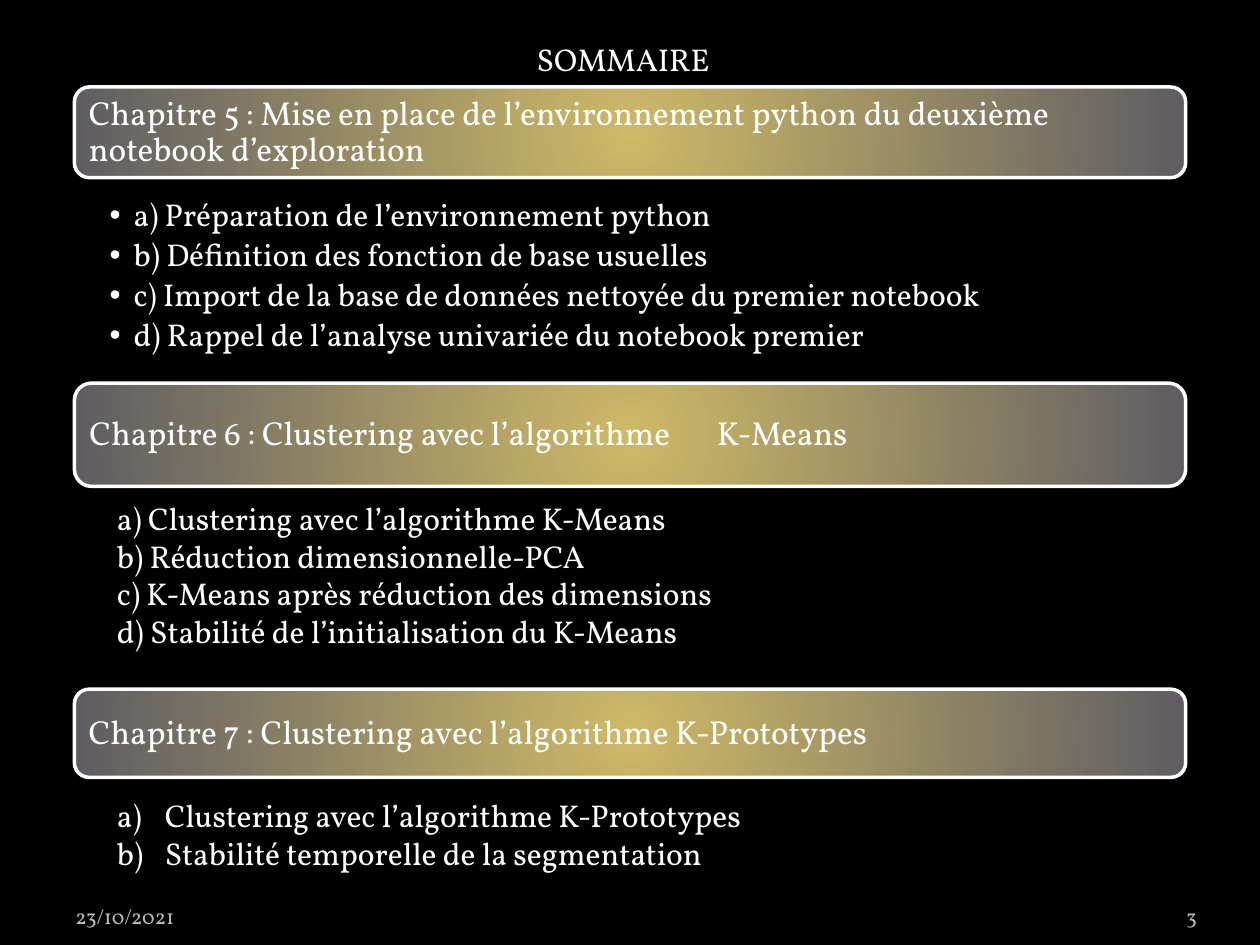
"""Builds the summary slide listing chapters 5 to 7 with their sections."""
from lxml.etree import SubElement
from pptx import Presentation
from pptx.dml.color import RGBColor
from pptx.enum.shapes import MSO_SHAPE
from pptx.enum.text import MSO_ANCHOR as Anchor, MSO_AUTO_SIZE as AutoSize, PP_ALIGN as Align
from pptx.oxml import parse_xml
from pptx.oxml.ns import nsdecls, qn
from pptx.util import Inches, Pt

BLACK = RGBColor(0x00, 0x00, 0x00)
WHITE = RGBColor(0xFF, 0xFF, 0xFF)
SILVER = RGBColor(0xBD, 0xBD, 0xBD)
GOLD = RGBColor(0xCE, 0xB9, 0x66)
SLATE = RGBColor(0x5F, 0x5D, 0x63)
FONT = "Vollkorn"

TITLE = ("SOMMAIRE", (4.16, 0.27, 1.61, 0.4))
BANNER_LEFT, BANNER_WIDTH = 0.59, 8.82
BANNERS = [
    (0.69, 0.72, "Chapitre 5 : Mise en place de l’environnement python du deuxième notebook d’exploration"),
    (3.04, 0.82, "Chapitre 6 : Clustering avec l’algorithme\tK-Means"),
    (5.47, 0.7, "Chapitre 7 : Clustering avec l’algorithme K-Prototypes"),
]
TAB_STOP = 4.98
PREPARATION = [
    "a) Préparation de l’environnement python",
    "b) Définition des fonction de base usuelles",
    "c) Import de la base de données nettoyée du premier notebook",
    "d) Rappel de l’analyse univariée du notebook premier",
]
K_MEANS = [
    "a) Clustering avec l’algorithme K-Means",
    "b) Réduction dimensionnelle-PCA",
    "c) K-Means après réduction des dimensions",
    "d) Stabilité de l’initialisation du K-Means",
]
K_PROTOTYPES = [
    "Clustering avec l’algorithme K-Prototypes",
    "Stabilité temporelle de la segmentation",
]
BULLET = ("buChar", {"char": "•"}, 0.19)
LETTER = ("buAutoNum", {"type": "alphaLcParenR"}, 0.38)
TIGHT = {"line_spacing": 0.9, "space_before": Pt(0), "space_after": Pt(3.5)}


def place(box, area):
    """Move a shape to an area given in inches."""
    for name, value in zip(("left", "top", "width", "height"), area):
        setattr(box, name, Inches(value))


def write(box, lines, size=18, color=WHITE, margins=(0.1, 0.05, 0.1, 0.05),
          frame_format=None, para_format=None, bullet=None):
    """Fill a shape with formatted paragraphs."""
    frame = box.text_frame
    sides = ("margin_left", "margin_top", "margin_right", "margin_bottom")
    settings = {"word_wrap": True, "auto_size": AutoSize.NONE, "vertical_anchor": Anchor.TOP}
    settings.update(zip(sides, map(Inches, margins)))
    settings.update(frame_format or {})
    for name, value in settings.items():
        setattr(frame, name, value)
    for index, line in enumerate(lines):
        para = frame.paragraphs[0] if index == 0 else frame.add_paragraph()
        for name, value in {"alignment": Align.LEFT, **(para_format or {})}.items():
            setattr(para, name, value)
        span = para.add_run()
        span.text = line
        for name, value in {"name": FONT, "size": Pt(size)}.items():
            setattr(span.font, name, value)
        span.font.color.rgb = color
        properties = para._p.get_or_add_pPr()
        if bullet:
            tag, attributes, indent = bullet
            properties.set("marL", str(Inches(indent)))
            properties.set("indent", str(-Inches(indent)))
            SubElement(properties, qn("a:" + tag), attributes)
        if "\t" in line:
            tabs = SubElement(properties, qn("a:tabLst"))
            SubElement(tabs, qn("a:tab"), {"pos": str(Inches(TAB_STOP)), "algn": "l"})


def add_text(area, lines, **formats):
    """Add a text box."""
    box = slide.shapes.add_textbox(*map(Inches, area))
    write(box, lines, **formats)


def add_banner(top, height, text):
    """Add a chapter banner with a radial gradient."""
    banner = slide.shapes.add_shape(
        MSO_SHAPE.ROUNDED_RECTANGLE,
        *map(Inches, (BANNER_LEFT, top, BANNER_WIDTH, height)))
    banner.shadow.inherit = False
    gradient = parse_xml(
        f'<a:gradFill {nsdecls("a")} rotWithShape="1"><a:gsLst>'
        f'<a:gs pos="0"><a:srgbClr val="{GOLD}"/></a:gs>'
        f'<a:gs pos="100000"><a:srgbClr val="{SLATE}"/></a:gs></a:gsLst>'
        '<a:path path="circle"><a:fillToRect l="50000" t="50000" r="50000" b="50000"/></a:path>'
        '</a:gradFill>')
    banner._element.spPr.find(qn("a:prstGeom")).addnext(gradient)
    banner.line.color.rgb = WHITE
    banner.line.width = Pt(2)
    write(banner, [text], size=19, margins=(0.08,) * 4,
          frame_format={"vertical_anchor": Anchor.MIDDLE}, para_format={"line_spacing": 0.9})


deck = Presentation()
deck.slide_width, deck.slide_height = Inches(10), Inches(7.5)
slide = deck.slides.add_slide(deck.slide_layouts[1])
slide.background.fill.solid()
slide.background.fill.fore_color.rgb = BLACK

heading, area = TITLE
place(slide.shapes.title, area)
write(slide.shapes.title, [heading], frame_format={"word_wrap": False})

for banner_row in BANNERS:
    add_banner(*banner_row)

body = slide.placeholders[1]
place(body, (BANNER_LEFT, 1.55, BANNER_WIDTH, 1.38))
write(body, PREPARATION, margins=(0.28, 0.03, 0.14, 0.03), para_format=TIGHT, bullet=BULLET)
add_text((0.83, 3.91, 5.08, 1.31), K_MEANS, frame_format={"word_wrap": False})
add_text((0.83, 6.27, 5.3, 0.71), K_PROTOTYPES, frame_format={"word_wrap": False}, bullet=LETTER)

footer = {"size": 12, "color": SILVER, "frame_format": {"vertical_anchor": Anchor.BOTTOM}}
add_text((0.5, 7.02, 2.33, 0.4), ["23/10/2021"], **footer)
add_text((8.67, 7.02, 0.83, 0.4), ["3"], margins=(0, 0.05, 0, 0.05),
         para_format={"alignment": Align.RIGHT}, **footer)

deck.save("out.pptx")
